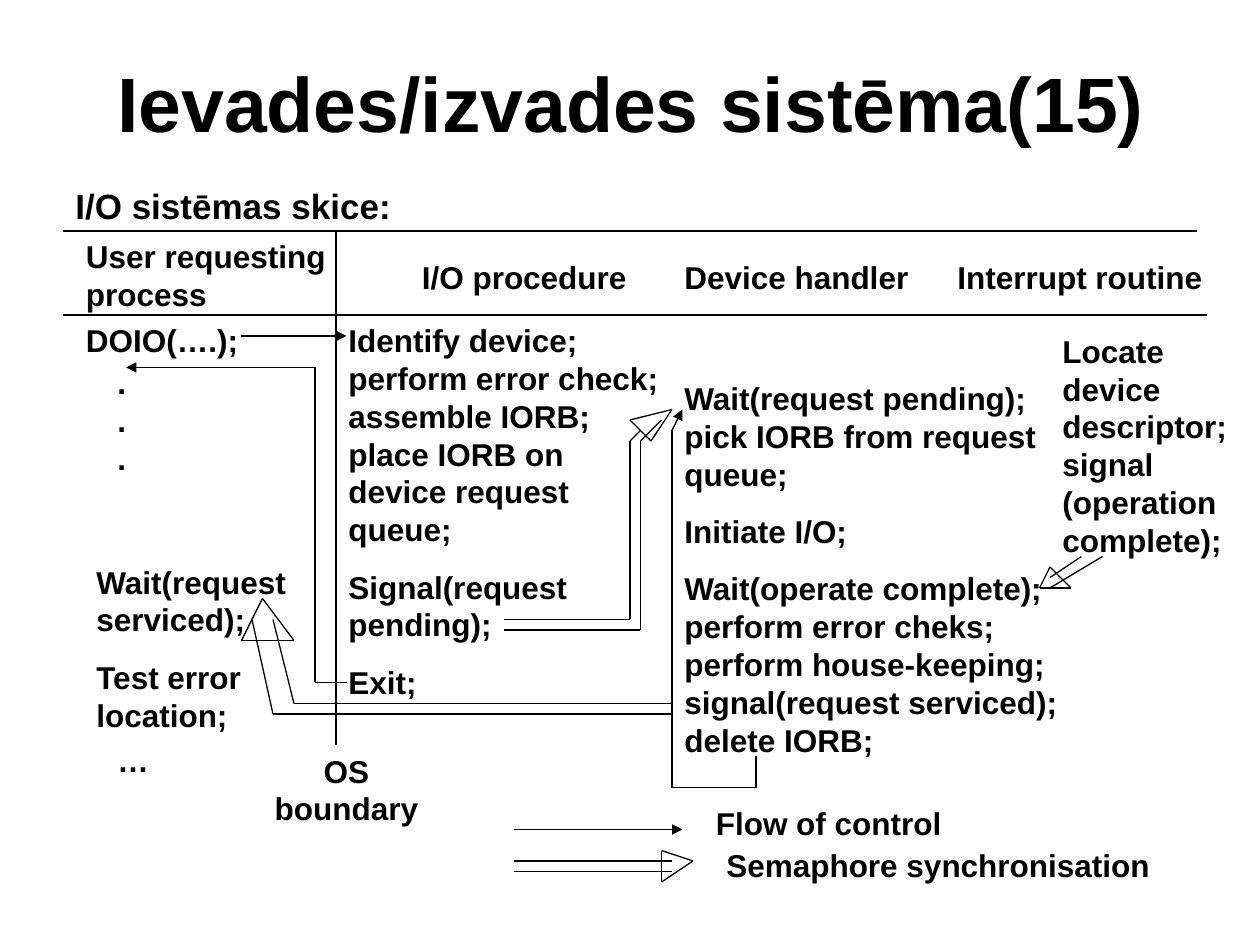
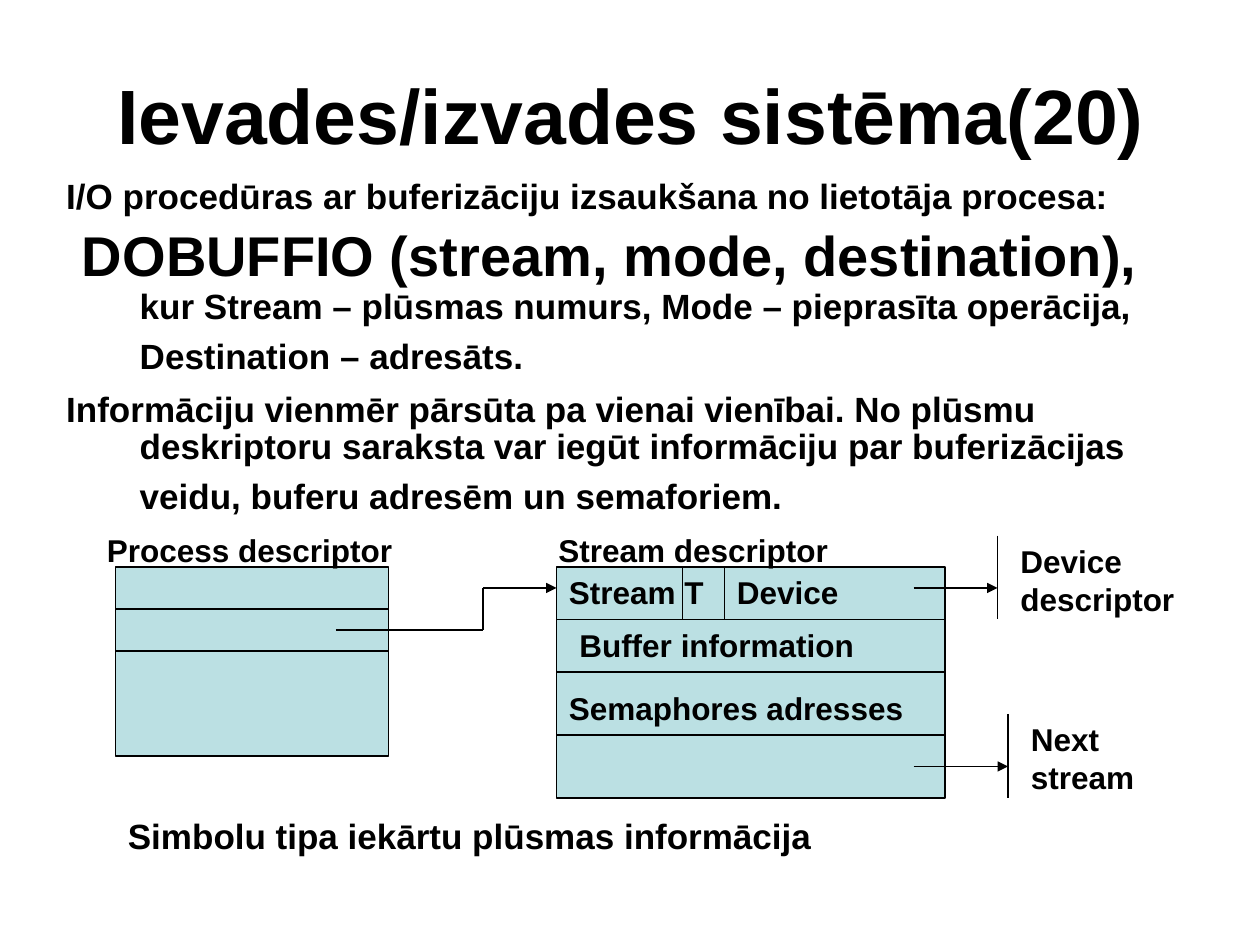
from itertools import pairwise

from lxml import etree
from pptx import Presentation
from pptx.dml.color import RGBColor
from pptx.enum.shapes import MSO_CONNECTOR as Connector, MSO_SHAPE as Shape
from pptx.enum.text import MSO_ANCHOR as Anchor, PP_ALIGN as Align
from pptx.oxml.ns import qn
from pptx.util import Emu, Pt

PX = 9525  # 96 px to the inch
SLIDE_SIZE = (960, 720)
BLACK = RGBColor(0x00, 0x00, 0x00)
PALE_TEAL = RGBColor(0xBB, 0xE0, 0xE3)
FONT = "Arial"
TITLE_SIZE, LEAD_SIZE, CALL_SIZE, LABEL_SIZE = 44, 20, 32, 18
LINE_END_SIZE = 28
LINE_WIDTH = 0.75
LABEL_GAP = 11.2
HANG = 56

# Slide 1: scheme of the I/O system
SCHEME_TITLE = ("Ievades/izvades sistēma(15)", 101)
SCHEME_LEAD = ("I/O sistēmas skice:", 48, 136, 863)

# paragraphs, left, top, width
SCHEME_LABELS = [
    (["User requesting process"], 56, 176, 216),
    (["I/O procedure"], 312, 192, 192),
    (["Device handler"], 512, 192, 200),
    (["Interrupt routine"], 720, 192, 216),
    (["DOIO(….);"], 56, 240, 160),
    (["..."], 80, 272, 32),
    (["Wait(request serviced);", "Test error location;"], 64, 424, 176),
    (["…"], 80, 560, 24),
    (["Identify device; perform error check; assemble IORB; "
      "place IORB on device request queue;",
      "Signal(request pending);",
      "Exit;"], 256, 240, 264),
    (["Wait(request pending); pick IORB from request queue;",
      "Initiate I/O;",
      "Wait(operate complete); perform error cheks; perform house-keeping; "
      "signal(request serviced); delete IORB;"], 512, 284, 304),
    (["Locate device descriptor; signal (operation complete);"], 800, 248, 160),
    (["Flow of control"], 536, 608, 248),
    (["Semaphore synchronisation"], 544, 640, 344),
]
BOUNDARY_LABEL = (["OS boundary"], 192, 568, 144)

SCHEME_RULES = [
    [(256, 176), (256, 568)],
    [(48, 176), (912, 176)],
    [(48, 240), (920, 240)],
]
CONTROL_FLOWS = [
    [(184, 256), (264, 256)],
    [(264, 520), (240, 520), (240, 280), (96, 280)],
    [(576, 576), (576, 600), (512, 600), (512, 328), (520, 312)],
    [(392, 632), (520, 632)],
]
# two rails, then the corners of the open arrowhead
SEMAPHORES = [
    ([(384, 472), (480, 472), (480, 336), (488, 328)],
     [(384, 480), (488, 480), (488, 336), (504, 320)],
     [(480, 320), (512, 312), (496, 336)]),
    ([(824, 424), (800, 440)],
     [(840, 424), (800, 448)],
     [(800, 432), (792, 448), (816, 448)]),
    ([(512, 536), (224, 536), (208, 472)],
     [(512, 544), (208, 544), (192, 472)],
     [(200, 456), (184, 488), (224, 488)]),
    ([(392, 656), (512, 656)],
     [(392, 664), (512, 664)],
     [(504, 648), (528, 656), (504, 672)]),
]

# Slide 2: buffered I/O and its descriptors
BUFFER_TITLE = ("Ievades/izvades sistēma(20)", 120)
BUFFER_BODY_BOX = (41, 128, 870, 519)
# runs (text, size), first-line indent, paragraph format
BUFFER_BODY = [
    ([("I/O procedūras ar buferizāciju izsaukšana no lietotāja procesa:", LEAD_SIZE)],
     -HANG, {}),
    ([("DOBUFFIO (stream, mode, destination), ", CALL_SIZE),
      ("kur Stream – plūsmas numurs, Mode – pieprasīta operācija, "
       "Destination – adresāts.", LEAD_SIZE),
      (" ", LINE_END_SIZE)],
     12 - HANG, {"line_spacing": 0.9, "space_before": Pt(7)}),
    ([("Informāciju vienmēr pārsūta pa vienai vienībai. No plūsmu deskriptoru "
       "saraksta var iegūt informāciju par buferizācijas veidu, buferu adresēm "
       "un semaforiem.", LEAD_SIZE),
      (" ", LINE_END_SIZE)],
     -HANG, {"line_spacing": 0.9, "space_before": Pt(7)}),
]
# left, top, width, height, heights of the row dividers
DESCRIPTORS = [
    (88, 432, 208, 144, [464, 496]),
    (424, 432, 296, 176, [472, 512, 560]),
]
DESCRIPTOR_LABELS = [
    (["Process descriptor"], 72, 400, 256),
    (["Stream descriptor"], 416, 400, 304),
    (["Stream"], 424, 432, 112),
    (["T"], 512, 432, 40),
    (["Device"], 552, 432, 152),
    (["Buffer information"], 432, 472, 288),
    (["Semaphores adresses"], 424, 520, 296),
    (["Device descriptor"], 768, 408, 144),
    (["Next stream"], 776, 544, 136),
]
DESCRIPTOR_RULES = [
    [(520, 432), (520, 472)],
    [(552, 432), (552, 472)],
    [(760, 408), (760, 472)],
    [(768, 544), (768, 608)],
]
POINTERS = [
    [(256, 480), (368, 480), (368, 448), (424, 448)],
    [(696, 448), (760, 448)],
    [(696, 584), (768, 584)],
]
CAPTION = (["Simbolu tipa iekārtu plūsmas informācija"], 88, 616, 792)


def px(*lengths):
    return [Emu(length * PX) for length in lengths]


def add_frame(slide, left, top, width, height, anchor=Anchor.TOP):
    frame = slide.shapes.add_textbox(*px(left, top, width, height)).text_frame
    frame.word_wrap = True
    frame.vertical_anchor = anchor
    return frame


def next_paragraph(frame, index):
    return frame.add_paragraph() if index else frame.paragraphs[0]


def add_run(paragraph, text, size):
    run = paragraph.add_run()
    run.text = text
    for name, value in {"name": FONT, "size": Pt(size), "bold": True}.items():
        setattr(run.font, name, value)
    run.font.color.rgb = BLACK


def add_title(slide, text, height):
    paragraph = add_frame(slide, 49, 27, 864, height, Anchor.MIDDLE).paragraphs[0]
    paragraph.alignment = Align.CENTER
    add_run(paragraph, text, TITLE_SIZE)


def add_label(slide, texts, left, top, width, size=LABEL_SIZE, align=Align.LEFT):
    frame = add_frame(slide, left, top, width, 38)
    for index, text in enumerate(texts):
        paragraph = next_paragraph(frame, index)
        paragraph.alignment = align
        if index:
            paragraph.space_before = Pt(LABEL_GAP)
        add_run(paragraph, text, size)


def add_hanging_body(slide, box, paragraphs):
    frame = add_frame(slide, *box)
    for index, (runs, indent, formats) in enumerate(paragraphs):
        paragraph = next_paragraph(frame, index)
        properties = paragraph._p.get_or_add_pPr()
        properties.set("marL", str(HANG * PX))
        properties.set("indent", str(indent * PX))
        for name, value in formats.items():
            setattr(paragraph, name, value)
        for text, size in runs:
            add_run(paragraph, text, size)


def add_path(slide, points, arrow=False):
    """Join the points with straight lines; an arrow closes the last one."""
    for start, end in pairwise(points):
        line = slide.shapes.add_connector(Connector.STRAIGHT, *px(*start, *end))
        line.line.color.rgb = BLACK
        line.line.width = Pt(LINE_WIDTH)
        properties = line._element.spPr
        if arrow and end == points[-1]:
            etree.SubElement(line.line._get_or_add_ln(), qn("a:tailEnd"), type="triangle")
        etree.SubElement(properties, qn("a:effectLst"))


def add_semaphore(slide, first_rail, second_rail, head):
    for points in (first_rail, second_rail, head + head[:1]):
        add_path(slide, points)


def add_descriptor(slide, left, top, width, height, dividers):
    shape = slide.shapes.add_shape(Shape.RECTANGLE, *px(left, top, width, height))
    shape.shadow.inherit = False
    shape.fill.solid()
    shape.fill.fore_color.rgb = PALE_TEAL
    shape.line.color.rgb = BLACK
    shape.line.width = Pt(LINE_WIDTH)
    for y in dividers:
        add_path(slide, [(left, y), (left + width, y)])


def build_scheme(slide):
    add_title(slide, *SCHEME_TITLE)
    text, left, top, width = SCHEME_LEAD
    add_label(slide, [text], left, top, width, LEAD_SIZE)
    for label in SCHEME_LABELS:
        add_label(slide, *label)
    add_label(slide, *BOUNDARY_LABEL, align=Align.CENTER)
    for points in SCHEME_RULES:
        add_path(slide, points)
    for points in CONTROL_FLOWS:
        add_path(slide, points, arrow=True)
    for semaphore in SEMAPHORES:
        add_semaphore(slide, *semaphore)


def build_buffering(slide):
    add_title(slide, *BUFFER_TITLE)
    add_hanging_body(slide, BUFFER_BODY_BOX, BUFFER_BODY)
    for descriptor in DESCRIPTORS:
        add_descriptor(slide, *descriptor)
    for label in DESCRIPTOR_LABELS:
        add_label(slide, *label)
    for points in DESCRIPTOR_RULES:
        add_path(slide, points)
    for points in POINTERS:
        add_path(slide, points, arrow=True)
    add_label(slide, *CAPTION, size=LEAD_SIZE)


def main():
    presentation = Presentation()
    presentation.slide_width, presentation.slide_height = px(*SLIDE_SIZE)
    blank = presentation.slide_layouts[6]
    for build in (build_scheme, build_buffering):
        build(presentation.slides.add_slide(blank))
    presentation.save("out.pptx")


if __name__ == "__main__":
    main()
